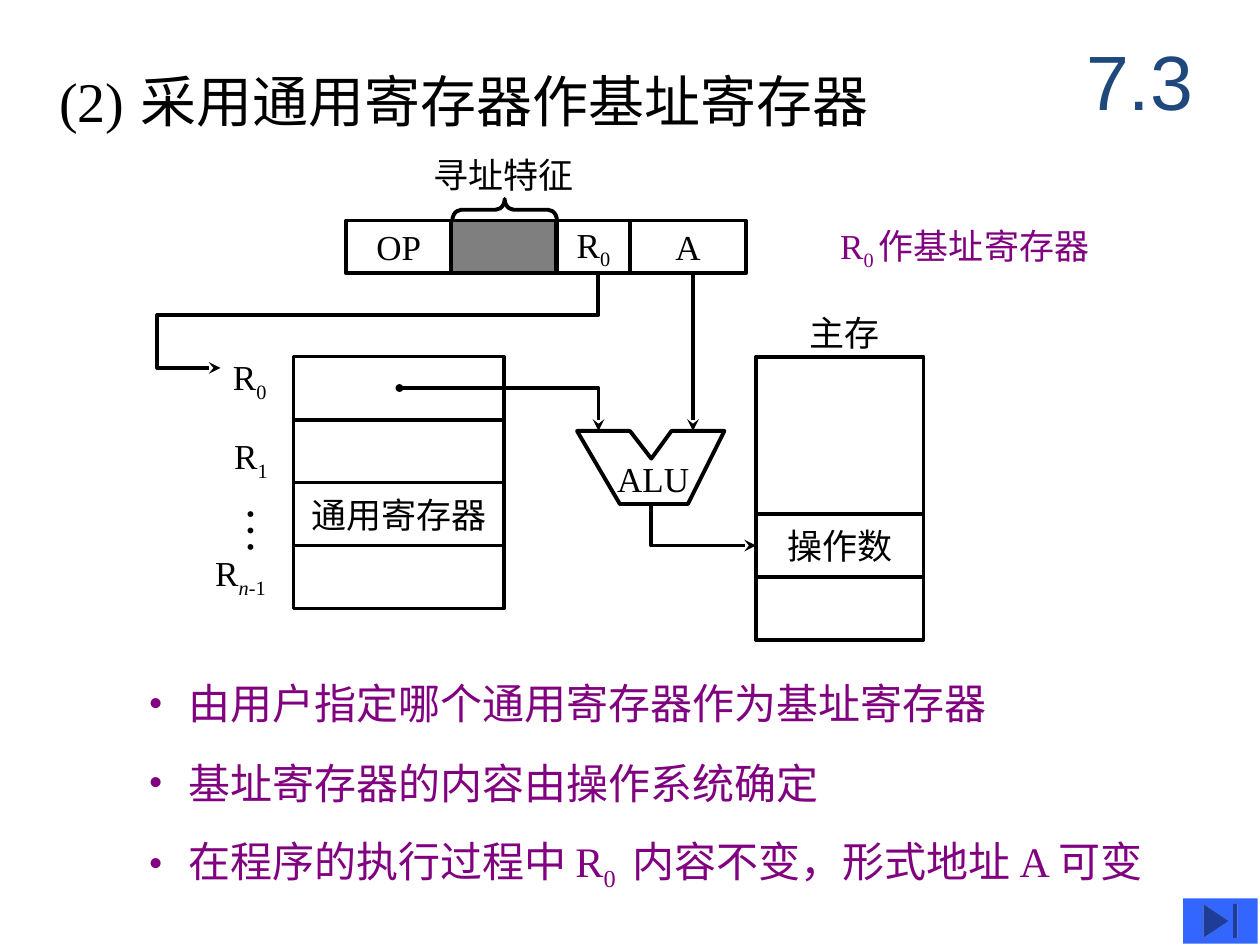
from dataclasses import dataclass

import pptx
import pptx.dml.color
import pptx.enum.dml
import pptx.enum.shapes
import pptx.enum.text
import pptx.oxml
import pptx.oxml.ns
import pptx.util
from pptx.util import Inches

SHAPES = pptx.enum.shapes.MSO_SHAPE
ALIGN = pptx.enum.text.PP_ALIGN
ANCHOR = pptx.enum.text.MSO_ANCHOR
FIT = pptx.enum.text.MSO_AUTO_SIZE
ARROW = {"type": "stealth"}
DOT = {"type": "oval", "w": "sm", "len": "sm"}


@dataclass(frozen=True)
class Theme:
    ink: str = "000000"
    accent: str = "800080"
    chapter: str = "1F497D"
    button: str = "3366FF"
    serif: str = "Times New Roman"
    sans: str = "Arial"
    label: int = 20
    bullet: int = 24
    dots: int = 28
    heading: int = 32
    heading_gap: int = 36
    section: int = 44
    stroke: float = 2.25


THEME = Theme()


def rgb(value):
    return pptx.dml.color.RGBColor.from_string(value)


def add_xml(parent, tag, **attributes):
    child = parent.makeelement(pptx.oxml.ns.qn(tag), attributes)
    parent.append(child)
    return child


def apply(target, values):
    for name, value in values.items():
        setattr(target, name, value)


def write(paragraph, parts, size=THEME.label, color=THEME.ink, font=THEME.serif):
    """Add runs; a part is text or (text, options) with sub, italic or size."""
    for part in parts:
        text, options = (part, {}) if isinstance(part, str) else part
        run = paragraph.add_run()
        run.text = text
        apply(run.font, {
            "name": font,
            "size": pptx.util.Pt(options.get("size", size)),
            "italic": options.get("italic"),
        })
        run.font.color.rgb = rgb(color)
        if options.get("sub"):
            run._r.get_or_add_rPr().set("baseline", "-25000")


def sub(text, italic=None):
    return text, {"sub": True, "italic": italic}


def outline(shape, head=None, tail=None):
    shape.line.color.rgb = rgb(THEME.ink)
    shape.line.width = pptx.util.Pt(THEME.stroke)
    for tag, end in (("a:headEnd", head), ("a:tailEnd", tail)):
        if end:
            add_xml(shape.line._get_or_add_ln(), tag, **end)


def add_label(slide, place, parts, wrap=False, anchor=ANCHOR.TOP,
              align=ALIGN.LEFT, fit=FIT.SHAPE_TO_FIT_TEXT, **style):
    frame = slide.shapes.add_textbox(*map(Inches, place)).text_frame
    apply(frame, {"word_wrap": wrap, "auto_size": fit, "vertical_anchor": anchor})
    frame.paragraphs[0].alignment = align
    write(frame.paragraphs[0], parts, **style)
    return frame


def add_heading(slide, place, parts):
    title = slide.shapes.title
    apply(title, dict(zip(("left", "top", "width", "height"), map(Inches, place))))
    apply(title.text_frame, {
        "word_wrap": False,
        "auto_size": FIT.SHAPE_TO_FIT_TEXT,
        "vertical_anchor": ANCHOR.TOP,
    })
    heading = title.text_frame.paragraphs[0]
    heading.alignment = ALIGN.LEFT
    write(heading, parts, size=THEME.heading)


def add_box(slide, place, parts=(), kind=SHAPES.RECTANGLE):
    box = slide.shapes.add_shape(kind, *map(Inches, place))
    box.shadow.inherit = False
    box.fill.background()
    outline(box)
    if parts:
        apply(box.text_frame, {"word_wrap": False, "vertical_anchor": ANCHOR.MIDDLE})
        box.text_frame.paragraphs[0].alignment = ALIGN.CENTER
        write(box.text_frame.paragraphs[0], parts)
    return box


def add_path(slide, points, close=False, **ends):
    corners = [(Inches(x), Inches(y)) for x, y in points]
    builder = slide.shapes.build_freeform(*corners[0])
    builder.add_line_segments(corners[1:], close=close)
    route = builder.convert_to_shape()
    route.shadow.inherit = False
    route.fill.background()
    outline(route, **ends)


def add_line(slide, start, end, **ends):
    line = slide.shapes.add_connector(
        pptx.enum.shapes.MSO_CONNECTOR.STRAIGHT, *map(Inches, start + end))
    outline(line, **ends)
    add_xml(line._element.spPr, "a:effectLst")
    return line


def add_bullet(slide, place, parts):
    frame = add_label(slide, place, parts, wrap=True,
                      size=THEME.bullet, color=THEME.accent)
    properties = frame.paragraphs[0]._p.get_or_add_pPr()
    hang = Inches(0.24)
    properties.set("marL", str(hang))
    properties.set("indent", str(-hang))
    add_xml(add_xml(properties, "a:buClr"), "a:srgbClr", val=THEME.accent)
    add_xml(properties, "a:buFont", typeface=THEME.serif)
    add_xml(properties, "a:buChar", char="•")


def add_instruction(slide):
    top, height = 1.75, 0.42
    fields = [(2.75, 0.83, ["OP"]), (3.58, 0.83, []),
              (4.42, 0.58, ["R", sub("0")]), (5, 0.92, ["A"])]
    for left, width, parts in fields:
        field = add_box(slide, (left, top, width, height), parts)
        if not parts:
            field.fill.solid()
            field.fill.fore_color.rgb = rgb(THEME.ink)
            shade = field._element.spPr.find(".//" + pptx.oxml.ns.qn("a:srgbClr"))
            add_xml(shade, "a:alpha", val="50000")
    brace = add_box(slide, (3.92, 1.25, 0.17, 0.83), kind=SHAPES.LEFT_BRACE)
    brace.rotation = 90
    brace.adjustments[0] = 0.42
    add_label(slide, (3.34, 1.17, 1.34, 0.44), ["寻址特征"])
    add_label(slide, (6.57, 1.73, 2.27, 0.48),
              ["R", sub("0 "), "作基址寄存器"], color=THEME.accent)


def add_registers(slide):
    left, width = 2.33, 1.67
    first_pair = add_box(slide, (left, 2.83, width, 1))
    add_box(slide, (left, 3.83, width, 0.5), ["通用寄存器"])
    add_box(slide, (left, 4.33, width, 0.5))
    divider = add_line(slide, (left, 3.33), (left + width, 3.33))
    divider.begin_connect(first_pair, 1)
    divider.end_connect(first_pair, 3)
    names = [((1.75, 2.77, 0.5, 0.48), [sub("0")]),
             ((1.76, 3.4, 0.5, 0.48), [sub("1")]),
             ((1.61, 4.33, 0.64, 0.48), [sub("n", italic=True), sub("-1")])]
    for place, index in names:
        add_label(slide, place, ["R", *index])
    dots = add_label(slide, (1.75, 3.92, 0.66, 0.58), ["…"], wrap=True, size=THEME.dots)
    apply(dots, {
        "margin_left": Inches(0.05), "margin_right": Inches(0.05),
        "margin_top": Inches(0.1), "margin_bottom": Inches(0.1),
    })
    dots._txBody.bodyPr.set("vert", "eaVert")


def add_memory(slide):
    add_label(slide, (6.33, 2.42, 0.8, 0.44), ["主存"])
    for top, height, parts in [(2.83, 1.25, []), (4.08, 0.5, ["操作数"]), (4.58, 0.5, [])]:
        add_box(slide, (6, top, 1.33, height), parts)


def add_alu(slide):
    add_path(slide, [(4.58, 3.42), (5, 3.42), (5.17, 3.64), (5.33, 3.42),
                     (5.75, 3.42), (5.46, 4), (4.92, 4)], close=True)
    add_label(slide, (4.8, 3.58, 0.8, 0.44), ["ALU"])


def add_data_flow(slide):
    add_line(slide, (5.5, 2.17), (5.5, 3.42), tail=ARROW)
    add_path(slide, [(4.75, 2.17), (4.75, 2.5), (1.25, 2.5), (1.25, 2.92), (1.75, 2.92)],
             tail=ARROW)
    add_path(slide, [(3.17, 3.08), (4.75, 3.08), (4.75, 3.42)], head=DOT, tail=ARROW)
    add_path(slide, [(5.17, 4), (5.17, 4.33), (6, 4.33)], tail=ARROW)


def add_end_button(slide):
    button = add_box(slide, (9.39, 7.13, 0.59, 0.36), kind=SHAPES.ACTION_BUTTON_END)
    button.fill.solid()
    button.fill.fore_color.rgb = rgb(THEME.button)
    button.line.fill.background()


def main():
    deck = pptx.Presentation()
    deck.slide_width, deck.slide_height = Inches(10), Inches(7.5)
    slide = deck.slides.add_slide(deck.slide_layouts.get_by_name("Title Only"))
    add_heading(slide, (0.37, 0.42, 6.8, 0.7),
                ["(2)", (" ", {"size": THEME.heading_gap}), "采用通用寄存器作基址寄存器"])
    add_label(slide, (8.42, 0.17, 1.25, 0.92), ["7.3"], wrap=True, anchor=ANCHOR.MIDDLE,
              align=ALIGN.CENTER, fit=FIT.NONE, size=THEME.section,
              color=THEME.chapter, font=THEME.sans)
    add_instruction(slide)
    add_registers(slide)
    add_memory(slide)
    add_alu(slide)
    add_data_flow(slide)
    add_bullet(slide, (1.08, 5.33, 7.83, 0.5), [" 由用户指定哪个通用寄存器作为基址寄存器"])
    add_bullet(slide, (1.08, 5.96, 6.33, 0.5), [" 基址寄存器的内容由操作系统确定"])
    add_bullet(slide, (1.08, 6.58, 8.33, 0.56),
               [" 在程序的执行过程中 R", sub("0 "), " 内容不变，形式地址 A 可变"])
    add_end_button(slide)
    deck.save("out.pptx")


if __name__ == "__main__":
    main()
